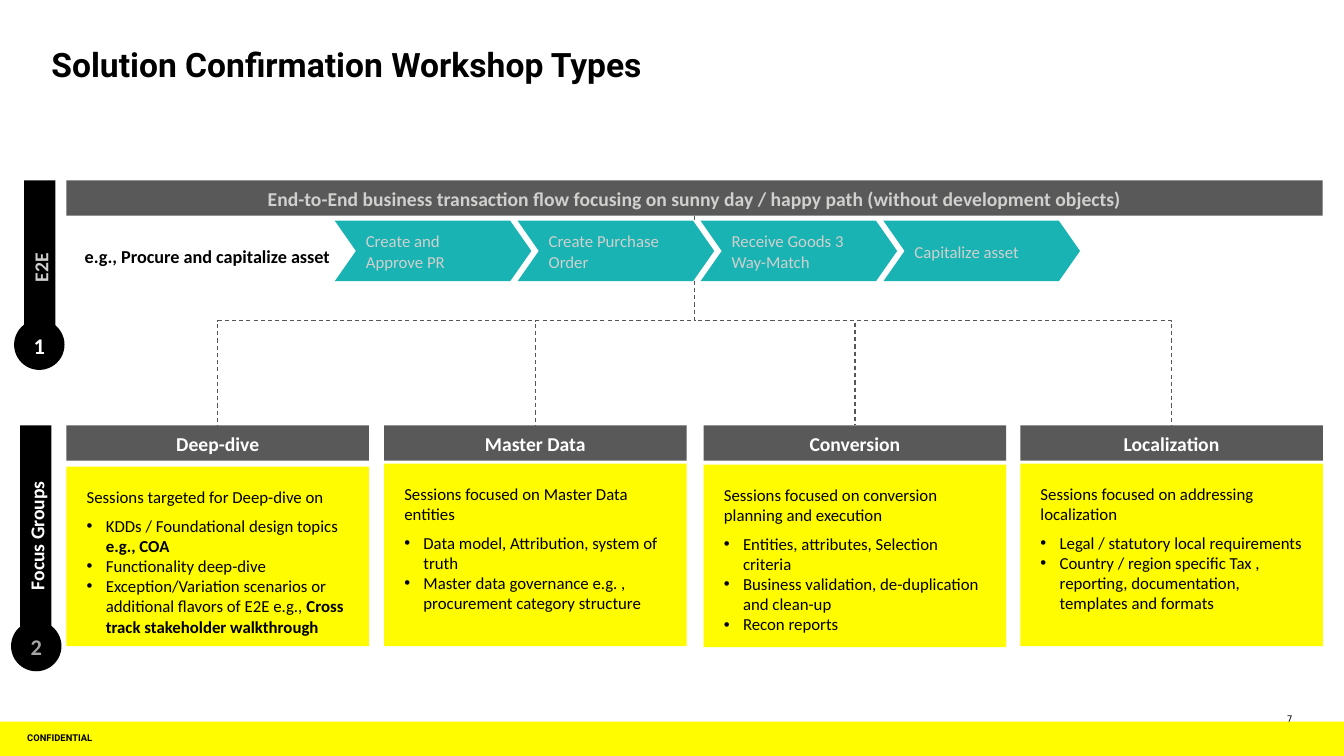
from pptx import Presentation
from pptx.dml.color import RGBColor
from pptx.enum.dml import MSO_LINE
from pptx.enum.shapes import MSO_CONNECTOR, MSO_SHAPE
from pptx.enum.text import MSO_ANCHOR, MSO_AUTO_SIZE, PP_ALIGN
from pptx.oxml.ns import qn
from pptx.util import Inches, Pt
from lxml.etree import SubElement

COLORS = {
    "black": "000000",
    "white": "FFFFFF",
    "silver": "D0D0CE",
    "gray": "A6A6A6",
    "header": "595959",
    "link": "53565A",
    "yellow": "FFFB00",
    "footer": "FFFC00",
    "teal": "19B3B3",
}

FOCUS_GROUPS = [
    ("Deep-dive", 0.66, 4.63, 1.78, "Sessions targeted for Deep-dive on", [
        "KDDs / Foundational design topics *e.g., COA*",
        "Functionality deep-dive",
        "Exception/Variation scenarios or additional flavors of E2E e.g., "
        "*Cross track stakeholder walkthrough*",
    ]),
    ("Master Data", 3.81, 4.6, 1.81, "Sessions focused on Master Data entities", [
        "Data model, Attribution, system of truth",
        "Master data governance e.g. , procurement category structure",
    ]),
    ("Conversion", 6.98, 4.61, 1.81, "Sessions focused on conversion planning and execution", [
        "Entities, attributes, Selection criteria",
        "Business validation, de-duplication and clean-up",
        "Recon reports",
    ]),
    ("Localization", 10.12, 4.6, 1.81, "Sessions focused on addressing localization", [
        "Legal / statutory local requirements",
        "Country / region specific Tax , reporting, documentation, templates and formats",
    ]),
]

PROCESS_STEPS = [
    "Create and Approve PR",
    "Create Purchase Order",
    "Receive Goods 3 Way-Match",
    "Capitalize asset",
]


def color(name):
    return RGBColor.from_string(COLORS[name])


def write(paragraph, text, size=12, font="Calibri", ink="black", bold=False,
          align=PP_ALIGN.LEFT, spacing=None, before=0, after=0, bullet=False):
    """Add text to a paragraph; asterisks enclose bold passages."""
    paragraph.alignment = align
    paragraph.line_spacing = spacing
    paragraph.space_before = Pt(before)
    paragraph.space_after = Pt(after)
    if bullet:
        properties = paragraph._p.get_or_add_pPr()
        properties.set("marL", str(Inches(0.19)))
        properties.set("indent", str(-Inches(0.19)))
        SubElement(properties, qn("a:buFont")).set("typeface", "Arial")
        SubElement(properties, qn("a:buChar")).set("char", "•")
    for position, passage in enumerate(text.split("*")):
        if passage:
            run = paragraph.add_run()
            run.text = passage
            run.font.size = Pt(size)
            run.font.name = font
            run.font.bold = bold or position % 2 == 1
            run.font.color.rgb = color(ink)


class WorkshopSlide:
    def __init__(self, presentation):
        self.slide = presentation.slides.add_slide(presentation.slide_layouts[5])
        self.shapes = self.slide.shapes

    def frame(self, shape, margins, anchor):
        frame = shape.text_frame
        frame.word_wrap = True
        frame.auto_size = MSO_AUTO_SIZE.NONE
        frame.vertical_anchor = anchor
        (frame.margin_left, frame.margin_top,
         frame.margin_right, frame.margin_bottom) = map(Inches, margins)
        return frame

    def title(self, text, box):
        heading = self.shapes.title
        heading.left, heading.top, heading.width, heading.height = map(Inches, box)
        frame = self.frame(heading, (0, 0, 0, 0), MSO_ANCHOR.TOP)
        write(frame.paragraphs[0], text, size=24, font="Roboto", bold=True)

    def label(self, text, box, margins=(0, 0, 0, 0), anchor=MSO_ANCHOR.MIDDLE, **style):
        caption = self.shapes.add_textbox(*map(Inches, box))
        write(self.frame(caption, margins, anchor).paragraphs[0], text, **style)

    def block(self, box, fill, text="", kind=MSO_SHAPE.RECTANGLE, rotation=0, **style):
        block = self.shapes.add_shape(kind, *map(Inches, box))
        block.shadow.inherit = False
        block.fill.solid()
        block.fill.fore_color.rgb = color(fill)
        block.line.fill.background()
        block.rotation = rotation
        if text:
            frame = self.frame(block, (0.1,) * 4, MSO_ANCHOR.MIDDLE)
            write(frame.paragraphs[0], text, spacing=1.06, **style)
        return block

    def bar(self, text, box, fill="header", ink="white", rotation=0):
        return self.block(box, fill, text, rotation=rotation, size=14, ink=ink,
                          bold=True, align=PP_ALIGN.CENTER)

    def badge(self, number, left, top, ink):
        self.block((left, top, 0.5, 0.5), "black", number, MSO_SHAPE.OVAL,
                   size=16, ink=ink, bold=True, align=PP_ALIGN.CENTER)

    def details(self, box, intro, topics):
        panel = self.block(box, "yellow")
        frame = self.frame(panel, (0.2,) * 4, MSO_ANCHOR.TOP)
        write(frame.paragraphs[0], intro, after=6)
        for topic in topics:
            write(frame.add_paragraph(), topic, bullet=True)

    def branch(self, parent, child):
        start_x = parent.left + parent.width // 2
        start_y = parent.top + parent.height
        end_x = child.left + child.width // 2
        drop, reach = child.top - start_y, abs(end_x - start_x)
        link = self.shapes.add_connector(MSO_CONNECTOR.ELBOW, start_x, start_y, end_x, child.top)
        link.begin_connect(parent, 2)
        link.end_connect(child, 0)
        link.left = (start_x + end_x - drop) // 2
        link.top = (start_y + child.top - reach) // 2
        link.width, link.height = drop, reach
        rightward = end_x > start_x
        transform = link._element.spPr.find(qn("a:xfrm"))
        transform.set("rot", str((270 if rightward else 90) * 60000))
        transform.set("flipH", "1" if rightward else "0")
        link.line.color.rgb = color("link")
        link.line.width = Pt(0.75)
        link.line.dash_style = MSO_LINE.DASH
        SubElement(link._element.spPr, qn("a:effectLst"))


def main():
    presentation = Presentation()
    presentation.slide_width = Inches(13.33)
    presentation.slide_height = Inches(7.5)
    page = WorkshopSlide(presentation)

    page.title("Solution Confirmation Workshop Types", (0.51, 0.44, 12.31, 0.76))
    page.label("7", (12.48, 7.08, 0.34, 0.11), anchor=MSO_ANCHOR.TOP, size=6.5,
               font="DejaVu Sans", align=PP_ALIGN.RIGHT, before=8)
    page.block((0, 7.16, 13.33, 0.37), "footer")
    page.label("CONFIDENTIAL", (0.24, 7.16, 1.81, 0.34), margins=(0.03,) * 4,
               size=6.7, font="Roboto", bold=True, spacing=0.8)

    flow = page.bar("End-to-End business transaction flow focusing on sunny day / happy path "
                    "(without development objects)", (0.66, 1.79, 12.46, 0.35), ink="silver")
    for name, left, top, height, intro, topics in FOCUS_GROUPS:
        header = page.bar(name, (left, 4.22, 3, 0.35))
        page.details((left, top, 3, height), intro, topics)
        page.branch(flow, header)

    page.label("e.g., Procure and capitalize asset", (0.64, 2.32, 2.83, 0.45),
               margins=(0, 0.05, 0, 0.05), size=13, bold=True,
               align=PP_ALIGN.CENTER, before=6)
    for position, step in enumerate(PROCESS_STEPS):
        chevron = page.block((3.32 + 1.814 * position, 2.19, 1.95, 0.6), "teal", step,
                             MSO_SHAPE.CHEVRON, ink="silver")
        chevron.adjustments[0] = 0.35

    page.bar("Focus Groups", (-0.74, 5.16, 2.19, 0.31), fill="black", rotation=270)
    page.bar(" E2E", (-0.49, 2.52, 1.77, 0.31), fill="black", ink="silver", rotation=270)
    page.badge("1", 0.14, 3.17, "white")
    page.badge("2", 0.11, 6.16, "gray")

    presentation.save("out.pptx")


if __name__ == "__main__":
    main()
